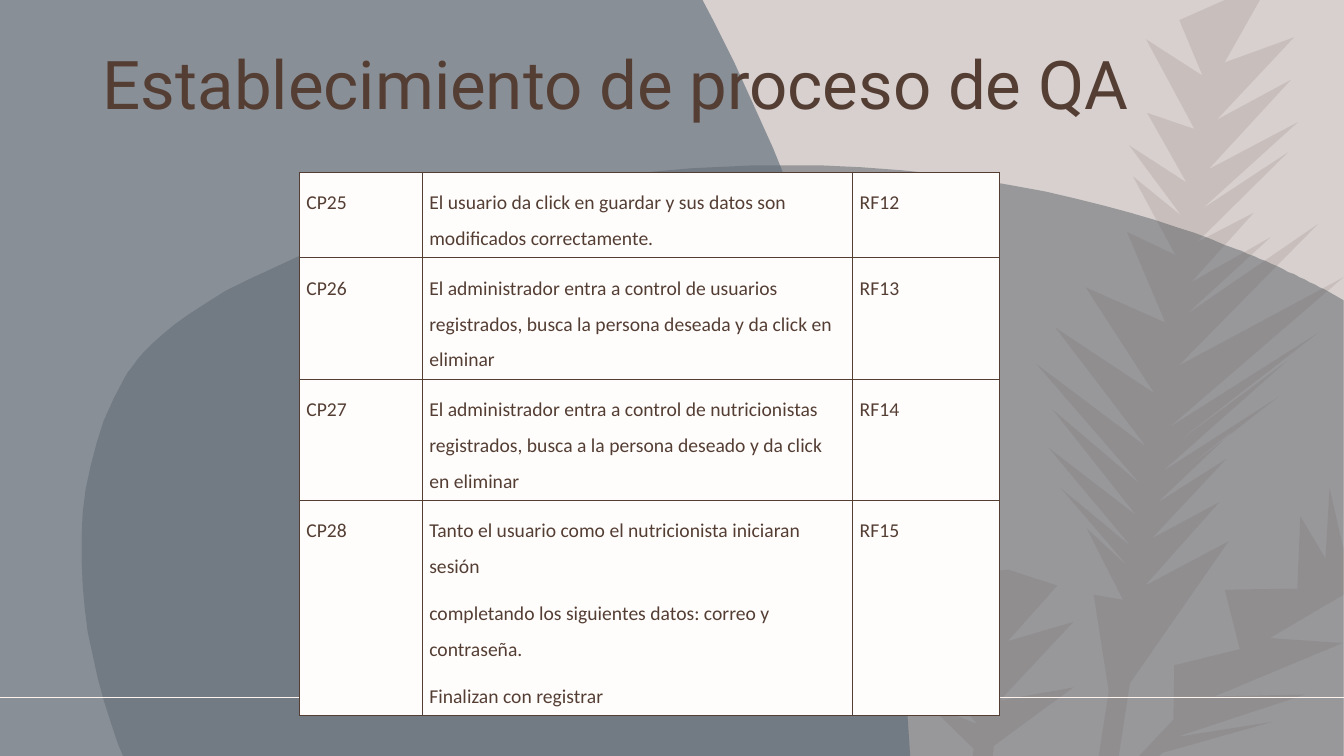
from lxml import etree
from pptx import Presentation
from pptx import util as u
from pptx.dml.color import RGBColor
from pptx.enum import shapes, text
from pptx.oxml import ns

THEME = {
    "font": "Calibri", "title_font": "Roboto", "size": 14, "title_size": 48,
    "brown": "543E34", "background": "D7D0CE", "cell": "FFFDFC", "rule": "FEF3ED",
    "blob": ("465058", 43), "curtain": ("5D6A76", 63), "branch": ("543E35", 11),
}
TITLE = "Establecimiento de proceso de QA"
TEST_CASES = [
    ("CP25", "El usuario da click en guardar y sus datos son modificados correctamente.", "RF12"),
    ("CP26", "El administrador entra a control de usuarios registrados, busca la persona "
             "deseada y da click en eliminar", "RF13"),
    ("CP27", "El administrador entra a control de nutricionistas registrados, busca a la "
             "persona deseado y da click en eliminar", "RF14"),
    ("CP28", "Tanto el usuario como el nutricionista iniciaran sesión\n"
             "completando los siguientes datos: correo y contraseña.\n"
             "Finalizan con registrar", "RF15"),
]
COLUMNS = [87.84, 307.44, 105.12]
ROWS = [54.72, 78.48, 78.48, 140.4]
GRID_UNIT = 0.72

BLOB = [
    (769, 164), (1006, 162, 1175, 226, 1226, 247), (1259, 260, 1289, 274, 1314, 287),
    (1333, 298), (1333, 750), (122, 750), (117, 738), (76, 628, 59, 484, 124, 374),
    (137, 353, 185, 281, 406, 217), (538, 179, 660, 164, 769, 164),
]
CURTAIN = [
    (0, 0), (697, 0), (708, 21), (822, 244, 882, 472, 899, 688), (903, 750), (0, 750),
]
FRONDS = [
    {"stem": [(1215, 0), (1100, 750)], "lift": 0.8,
     "left": [(1170, 20), (1137, 39), (1138, 112), (1120, 144), (1124, 175), (1118, 230),
              (1077, 285), (1047, 325), (1028, 361), (1044, 406), (1040, 444), (1052, 484),
              (1078, 524), (1085, 590)],
     "right": [(1250, 0), (1284, 37), (1281, 79), (1288, 121), (1278, 151), (1244, 211),
               (1261, 235), (1308, 222), (1333, 275), (1308, 330), (1277, 358), (1268, 394),
               (1225, 426), (1217, 455), (1210, 498), (1219, 537)]},
    {"stem": [(1333, 545), (1140, 750)], "lift": 0.3,
     "left": [(1319, 484), (1290, 512), (1215, 585), (1165, 660)],
     "right": [(1333, 590), (1332, 638), (1295, 689), (1263, 716)]},
    {"stem": [(1000, 565), (975, 750)], "lift": 0.6,
     "left": [(957, 570), (934, 596), (921, 661), (921, 699)],
     "right": [(1049, 581), (1065, 617), (1065, 682)]},
]


def flatten(outline, steps=16):
    points = []
    for node in outline:
        if len(node) == 2:
            points.append(node)
            continue
        ends = [points[-1], node[:2], node[2:4], node[4:]]
        for step in range(1, steps + 1):
            t = step / steps
            weights = ((1 - t) ** 3, 3 * t * (1 - t) ** 2, 3 * t * t * (1 - t), t ** 3)
            points.append(tuple(sum(w * end[axis] for w, end in zip(weights, ends))
                                for axis in (0, 1)))
    return points


def grow_side(frond, side, direction):
    (top_x, top), (bottom_x, bottom) = frond["stem"]

    def stem_x(y):
        return top_x + (bottom_x - top_x) * (y - top) / (bottom - top)

    def root(tip):
        y = max(top, min(bottom, tip[1]))
        return min(bottom, y + frond["lift"] * abs(tip[0] - stem_x(y)))

    tips = frond[side]
    edge = []
    for tip, following in zip(tips, tips[1:] + [(bottom_x, bottom)]):
        valley = (root(tip) + root(following)) / 2
        edge += [tip, (stem_x(valley) + 10 * direction, valley)]
    return edge + [(bottom_x + 10 * direction, bottom)]


def grow(frond):
    left = grow_side(frond, "left", -1)
    return [frond["stem"][0]] + grow_side(frond, "right", 1) + left[::-1]


def paint(fill, color, opacity=100):
    fill.solid()
    fill.fore_color.rgb = RGBColor.from_string(color)
    if opacity < 100:
        tint = fill._xPr.find(".//" + ns.qn("a:srgbClr"))
        etree.SubElement(tint, ns.qn("a:alpha")).set("val", str(opacity * 1000))


def add_silhouette(slide, outlines, tone):
    contours = [flatten(outline) for outline in outlines]
    pen = slide.shapes.build_freeform(*contours[0][0], scale=u.Pt(GRID_UNIT))
    for index, contour in enumerate(contours):
        if index:
            pen.move_to(*contour[0])
        pen.add_line_segments(contour[1:], close=True)
    silhouette = pen.convert_to_shape()
    silhouette.shadow.inherit = False
    silhouette.line.fill.background()
    paint(silhouette.fill, *tone)


def style(paragraph, font, size, spacing, after):
    paragraph.alignment = text.PP_ALIGN.LEFT
    paragraph.line_spacing = spacing
    paragraph.space_after = u.Pt(after)
    for run in paragraph.runs:
        run.font.name = font
        run.font.size = u.Pt(size)
        run.font.color.rgb = RGBColor.from_string(THEME["brown"])


def add_borders(cell):
    properties = cell._tc.get_or_add_tcPr()
    for position, side in enumerate(("lnL", "lnR", "lnT", "lnB")):
        border = etree.Element(ns.qn("a:" + side), w=str(int(u.Pt(1))))
        solid = etree.SubElement(border, ns.qn("a:solidFill"))
        etree.SubElement(solid, ns.qn("a:srgbClr")).set("val", THEME["brown"])
        properties.insert(position, border)


def add_test_cases(slide):
    table = slide.shapes.add_table(len(ROWS), len(COLUMNS), u.Pt(213.84), u.Pt(123.12),
                                   u.Pt(sum(COLUMNS)), u.Pt(sum(ROWS))).table
    table.first_row = table.horz_banding = False
    for column, width in zip(table.columns, COLUMNS):
        column.width = u.Pt(width)
    for row, height, case in zip(table.rows, ROWS, TEST_CASES):
        row.height = u.Pt(height)
        for cell, wording in zip(row.cells, case):
            cell.text_frame.text = wording
            cell.margin_left = cell.margin_right = u.Pt(5)
            cell.margin_top = cell.margin_bottom = u.Pt(5)
            paint(cell.fill, THEME["cell"])
            add_borders(cell)
            for paragraph in cell.text_frame.paragraphs:
                style(paragraph, THEME["font"], THEME["size"], 1.5, 8)


def main():
    deck = Presentation()
    deck.slide_width, deck.slide_height = u.Pt(960), u.Pt(540)
    slide = deck.slides.add_slide(deck.slide_layouts[5])
    paint(slide.background.fill, THEME["background"])
    add_silhouette(slide, [BLOB], THEME["blob"])
    add_silhouette(slide, [CURTAIN], THEME["curtain"])
    add_silhouette(slide, [grow(frond) for frond in FRONDS], THEME["branch"])

    rule = slide.shapes.add_connector(shapes.MSO_CONNECTOR.STRAIGHT,
                                      u.Pt(0), u.Pt(498.24), u.Pt(960), u.Pt(498.24))
    rule.line.color.rgb = RGBColor.from_string(THEME["rule"])
    rule.line.width = u.Pt(1.25)
    etree.SubElement(rule._element.spPr, ns.qn("a:effectLst"))

    title = slide.shapes.title
    title.left, title.top, title.width, title.height = map(u.Pt, (66.24, 36, 828, 53.28))
    title.text_frame.text = TITLE
    title.text_frame.word_wrap = True
    title.text_frame.auto_size = text.MSO_AUTO_SIZE.NONE
    title.text_frame.vertical_anchor = text.MSO_ANCHOR.MIDDLE
    style(title.text_frame.paragraphs[0], THEME["title_font"], THEME["title_size"], 0.9, 0)
    slide.shapes._spTree.append(title._element)
    add_test_cases(slide)
    deck.save("out.pptx")


if __name__ == "__main__":
    main()
